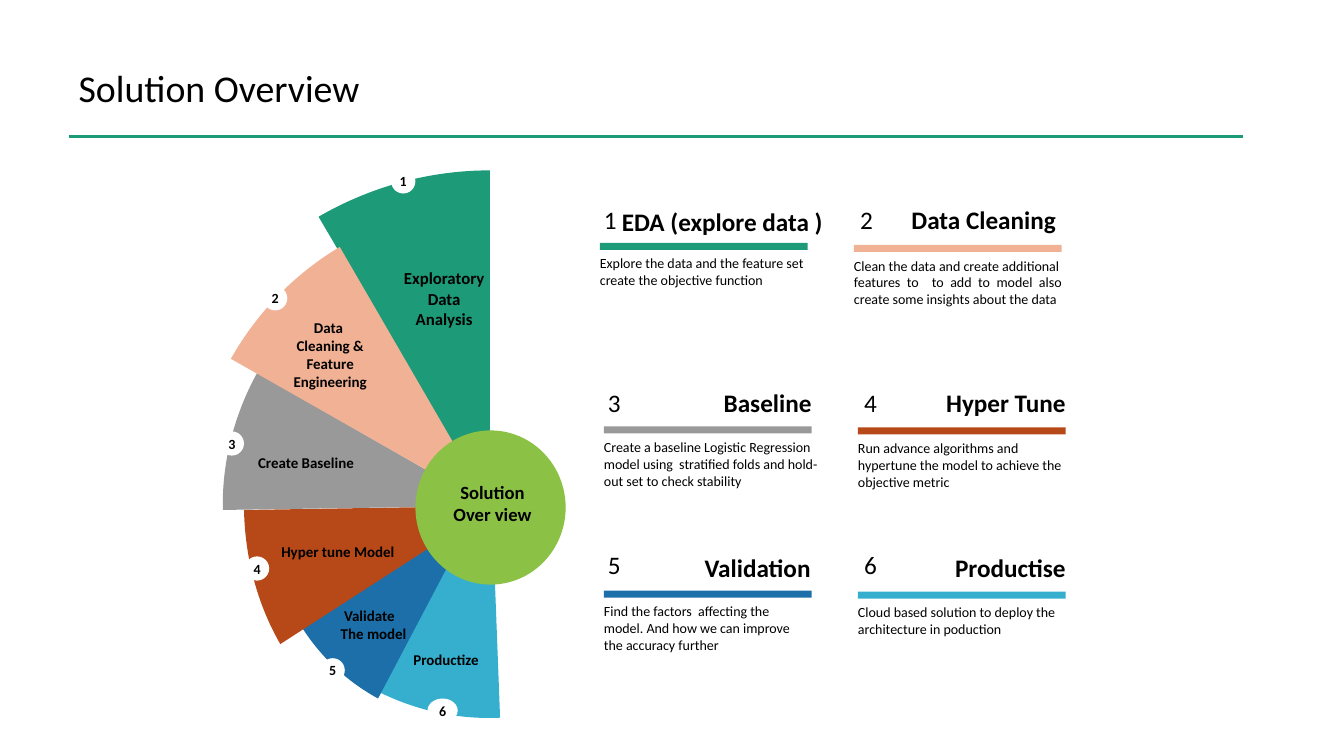
"""Build the Solution Overview slide: a six-part fan with a card for each step."""
from lxml.etree import SubElement
from pptx import Presentation
from pptx.dml.color import RGBColor
from pptx.enum.shapes import MSO_CONNECTOR, MSO_SHAPE
from pptx.enum.text import MSO_ANCHOR, MSO_AUTO_SIZE, PP_ALIGN
from pptx.oxml.ns import qn
from pptx.util import Inches, Pt


def paint(fill, colour):
    fill.solid()
    fill.fore_color.rgb = RGBColor.from_string(colour)


def write(frame, text, size, bold=False, align=PP_ALIGN.LEFT, anchor=MSO_ANCHOR.TOP,
          wrap=True, inset=0, spacing=None, grow=MSO_AUTO_SIZE.SHAPE_TO_FIT_TEXT):
    frame.word_wrap = wrap
    frame.auto_size = grow
    frame.vertical_anchor = anchor
    frame.margin_left = frame.margin_right = Inches(inset)
    frame.margin_top = frame.margin_bottom = Inches(inset / 2)
    for index, line in enumerate(text.split("\n")):
        paragraph = frame.add_paragraph() if index else frame.paragraphs[0]
        paragraph.alignment = align
        paragraph.line_spacing = spacing
        run = paragraph.add_run()
        run.text = line
        run.font.name = "Calibri"
        run.font.size = Pt(size)
        run.font.bold = bold
        paint(run.font.fill, "000000")


deck = Presentation()
deck.slide_width, deck.slide_height = Inches(13.33), Inches(7.5)
slide = deck.slides.add_slide(deck.slide_layouts[5])
shapes = slide.shapes

title = shapes.title
title.left, title.top, title.width, title.height = map(Inches, (0.68, 0.48, 11.97, 0.67))
write(title.text_frame, "Solution Overview", 27, anchor=MSO_ANCHOR.BOTTOM, inset=0.1,
      spacing=0.9, grow=MSO_AUTO_SIZE.NONE)

title_rule = shapes.add_connector(MSO_CONNECTOR.STRAIGHT, *map(Inches, (0.68, 1.35, 12.33, 1.35)))
paint(title_rule.line.fill, "1D9A78")
title_rule.line.width = Pt(2.25)
SubElement(title_rule._element.spPr, qn("a:effectLst"))

# Cards: number, its box, heading, its box, bar left and top, colour, details, their width and height
cards = [
    ("1", (5.99, 2.03, 0.07, 0.3), "EDA (explore data )", (6.1, 2.05, 2.06, 0.3),
     5.95, 2.41, "1D9A78",
     "Explore the data and the feature set\ncreate the objective function", 2.06, 0.34),
    ("2", (8.49, 2.03, 0.21, 0.3), "Data Cleaning ", (8.7, 2.03, 1.83, 0.3),
     8.47, 2.43, "F0B195",
     "Clean the data and create additional\n"
     "features to  to add to model also create some insights about the data", 2.06, 0.5),
    ("3", (6.03, 3.84, 0.07, 0.3), "Baseline", (6.98, 3.84, 1.07, 0.3),
     5.99, 4.23, "999999",
     "Create a baseline Logistic Regression model using  stratified folds and hold-out set "
     "to check stability", 2.17, 0.5),
    ("4", (8.53, 3.84, 0.21, 0.3), "Hyper Tune", (8.92, 3.84, 1.65, 0.3),
     8.51, 4.24, "B74919",
     "Run advance algorithms and hypertune the model to achieve the objective metric", 2.06, 0.5),
    ("5", (6.03, 5.45, 0.07, 0.3), "Validation", (6.7, 5.48, 1.34, 0.3),
     5.99, 5.86, "1D6FA9",
     "Find the factors  affecting the model. And how we can improve the accuracy further",
     2.06, 0.5),
    ("6", (8.53, 5.45, 0.21, 0.3), "Productise", (9.14, 5.48, 1.43, 0.3),
     8.51, 5.87, "36AFCE",
     "Cloud based solution to deploy the architecture in poduction", 2.06, 0.34),
]
for (number, number_at, heading, heading_at, left, top, colour,
     details, width, height) in cards:
    bar = shapes.add_shape(MSO_SHAPE.RECTANGLE, *map(Inches, (left, top, 2.06, 0.07)))
    bar.shadow.inherit = False
    paint(bar.fill, colour)
    bar.line.fill.background()
    for text, at, style in [
        (number, number_at, {"size": 18, "align": PP_ALIGN.CENTER}),
        (heading, heading_at, {"size": 18, "bold": True, "align": PP_ALIGN.RIGHT}),
        (details, (left, top + 0.12, width, height),
         {"size": 10, "align": PP_ALIGN.JUSTIFY if number == "2" else PP_ALIGN.LEFT}),
    ]:
        write(shapes.add_textbox(*map(Inches, at)).text_frame, text, **style)

# Wedges: colour, apex, then the arc as start, two control points and end
wedges = [
    ("1D9A78", (4.86, 5.04), [(4.86, 1.69), (4.26, 1.69), (3.68, 1.85), (3.16, 2.15)]),
    ("36AFCE", (4.87, 4.75), [(3.71, 6.84), (4.09, 7.04), (4.52, 7.14), (4.96, 7.12)]),
    ("1D6FA9", (4.75, 5.03), [(2.95, 6.15), (3.14, 6.48), (3.42, 6.75), (3.75, 6.93)]),
    ("B74919", (4.9, 5.02), [(2.42, 5.06), (2.43, 5.53), (2.55, 5.99), (2.78, 6.39)]),
    ("999999", (4.85, 5.02), [(2.55, 3.7), (2.32, 4.12), (2.2, 4.59), (2.21, 5.06)]),
    ("F0B195", (4.86, 5.02), [(3.37, 2.45), (2.92, 2.72), (2.55, 3.1), (2.29, 3.56)]),
]
for colour, apex, arc in wedges:
    builder = shapes.build_freeform(*map(Inches, apex))
    builder.add_line_segments([tuple(map(Inches, point)) for point in arc], close=True)
    wedge = builder.convert_to_shape()
    wedge.shadow.inherit = False
    paint(wedge.fill, colour)
    wedge.line.fill.background()
    # Turn the last three straight segments into one cubic curve
    outline = next(wedge._element.iter(qn("a:path")))
    segments = outline.findall(qn("a:lnTo"))[1:4]
    curve = SubElement(outline, qn("a:cubicBezTo"))
    segments[0].addprevious(curve)
    for segment in segments:
        curve.append(segment[0])
        outline.remove(segment)

# Discs: text, left, top, width, height, colour
discs = [
    ("", 4.12, 4.27, 1.49, 1.53, "8BC145"),
    ("1", 3.88, 1.68, 0.24, 0.24, "FFFFFF"),
    ("2", 2.61, 2.84, 0.24, 0.24, "FFFFFF"),
    ("3", 2.18, 4.28, 0.24, 0.24, "FFFFFF"),
    ("4", 2.43, 5.52, 0.24, 0.24, "FFFFFF"),
    ("5", 3.18, 6.53, 0.24, 0.24, "FFFFFF"),
    ("6", 4.24, 6.93, 0.3, 0.24, "FFFFFF"),
]
for number, *at, colour in discs:
    disc = shapes.add_shape(MSO_SHAPE.OVAL, *map(Inches, at))
    disc.shadow.inherit = False
    paint(disc.fill, colour)
    disc.line.fill.background()
    if number:
        write(disc.text_frame, number, 10, bold=True, align=PP_ALIGN.CENTER,
              anchor=MSO_ANCHOR.MIDDLE, grow=MSO_AUTO_SIZE.NONE)

# Labels: text, left, top, width, height, size, alignment, wrap
labels = [
    ("Solution\nOver view", 4.42, 4.77, 0.93, 0.45, 13.3, PP_ALIGN.CENTER, True),
    ("Exploratory\nData\nAnalysis", 4, 2.66, 0.81, 0.61, 12, PP_ALIGN.CENTER, False),
    ("Data \nCleaning &\nFeature Engineering", 2.75, 3.16, 1.05, 0.9, 10.7, PP_ALIGN.CENTER, True),
    ("Create Baseline", 2.56, 4.5, 0.96, 0.18, 10.7, PP_ALIGN.LEFT, False),
    ("Hyper tune Model", 2.79, 5.38, 1.13, 0.18, 10.7, PP_ALIGN.LEFT, False),
    (" Validate\nThe model", 3.38, 6.02, 0.74, 0.36, 10.7, PP_ALIGN.LEFT, True),
    ("Productize", 4.1, 6.45, 0.66, 0.18, 10.7, PP_ALIGN.LEFT, False),
]
for text, *at, size, align, wrap in labels:
    write(shapes.add_textbox(*map(Inches, at)).text_frame, text, size, bold=True,
          align=align, wrap=wrap)

deck.save("out.pptx")
